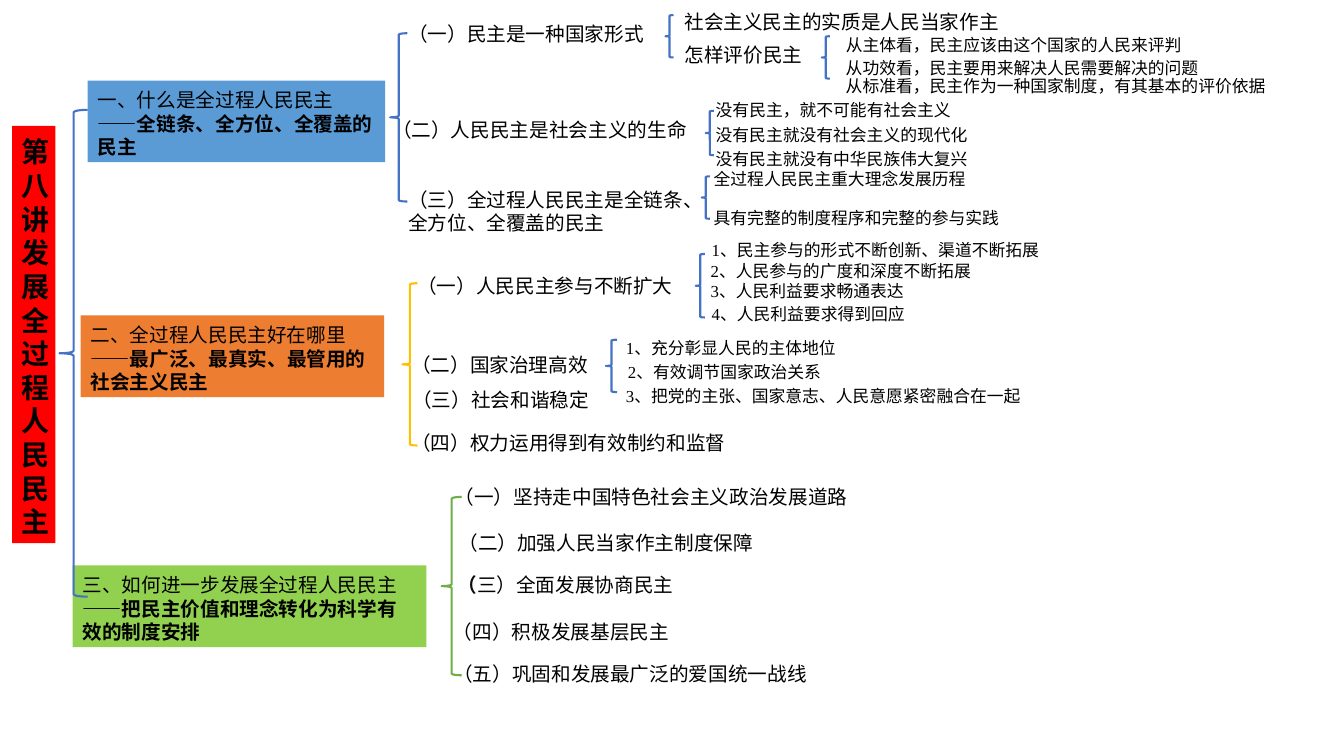
import pptx
import pptx.dml.color
import pptx.enum.shapes
import pptx.enum.text
import pptx.oxml.ns
import pptx.util
from lxml import etree

Inches = pptx.util.Inches
Color = pptx.dml.color.RGBColor

BLACK = Color(0x00, 0x00, 0x00)
NEAR_BLACK = Color(0x0D, 0x0D, 0x0D)
RED = Color(0xFF, 0x00, 0x00)
SKY = Color(0x5B, 0x9B, 0xD5)
ORANGE = Color(0xED, 0x7D, 0x31)
LIME = Color(0x92, 0xD0, 0x50)
BLUE = Color(0x44, 0x72, 0xC4)
GREEN = Color(0x70, 0xAD, 0x47)
YELLOW = Color(0xFF, 0xC0, 0x00)

SANS, SANS_JP = "Noto Sans CJK SC", "Noto Sans CJK JP"
LATIN, SERIF = "Arial", "Times New Roman"
LINE_FACTOR = 1.2
FIRST_INDENT = 0.29
LEFT = pptx.enum.text.PP_ALIGN.LEFT
CENTER = pptx.enum.text.PP_ALIGN.CENTER

# Chapter boxes: left, top, width, fill, heading, summary
CHAPTERS = [
    (0.87, 0.8, 2.95, SKY, "一、什么是全过程人民民主",
     "——全链条、全方位、全覆盖的民主"),
    (0.8, 3.13, 3.01, ORANGE, "二、全过程人民民主好在哪里",
     "——最广泛、最真实、最管用的社会主义民主"),
    (0.72, 5.61, 3.51, LIME, "三、如何进一步发展全过程人民民主",
     "——把民主价值和理念转化为科学有效的制度安排"),
]

# Braces: left, top, width, height, colour
BRACES = [
    (0.59, 1.09, 0.28, 4.83, BLUE),
    (3.87, 0.33, 0.17, 1.67, BLUE),
    (4.38, 4.93, 0.2, 1.77, GREEN),
    (3.99, 2.81, 0.15, 1.61, YELLOW),
    (8.15, 0.36, 0.08, 0.42, BLUE),
    (6.6, 0.15, 0.08, 0.42, BLUE),
    (7, 1.1, 0.08, 0.44, BLUE),
    (6.96, 1.75, 0.08, 0.42, BLUE),
    (6.9, 2.52, 0.09, 0.63, BLUE),
    (6.01, 3.37, 0.11, 0.52, BLUE),
]

# Labels: left, top, width, text, then alignment and first-line indent if any
SECTIONS = [
    (3.95, 0.15, 2.57, "（一）民主是一种国家形式"),
    (3.79, 1.1, 3.21, "（二）人民民主是社会主义的生命"),
    (3.95, 1.79, 3.1, "（三）全过程人民民主是全链条、全方位、全覆盖的民主"),
    (4.04, 2.65, 2.82, "（一）人民民主参与不断扩大"),
    (3.98, 3.43, 2.03, "（二）国家治理高效"),
    (3.99, 3.78, 2.33, "（三）社会和谐稳定"),
    (3.69, 4.21, 3.64, "（四）权力运用得到有效制约和监督", LEFT, FIRST_INDENT),
    (4.12, 4.74, 4.48, "（一）坚持走中国特色社会主义政治发展道路", LEFT, FIRST_INDENT),
    (4.38, 5.2, 3.26, "（二）加强人民当家作主制度保障", CENTER),
    (4.28, 6.08, 2.57, "（四）积极发展基层民主", CENTER),
    (4.38, 6.5, 3.74, "（五）巩固和发展最广泛的爱国统一战线", CENTER),
]
TOPICS = [
    (6.69, 0.03, 3.43, "社会主义民主的实质是人民当家作主"),
    (6.69, 0.36, 1.51, "怎样评价民主"),
]
DETAILS = [
    (8.29, 0.27, 3.92, "从主体看，民主应该由这个国家的人民来评判"),
    (8.29, 0.5, 4.03, "从功效看，民主要用来解决人民需要解决的问题"),
    (8.29, 0.68, 5.56, "从标准看，民主作为一种国家制度，有其基本的评价依据"),
    (7, 0.92, 2.59, "没有民主，就不可能有社会主义"),
    (7, 1.17, 2.93, "没有民主就没有社会主义的现代化"),
    (7, 1.41, 2.84, "没有民主就没有中华民族伟大复兴"),
    (6.69, 1.6, 3.13, "全过程人民民主重大理念发展历程", LEFT, FIRST_INDENT),
    (6.69, 1.99, 3.34, "具有完整的制度程序和完整的参与实践", LEFT, FIRST_INDENT),
    (6.96, 2.31, 3.6, "1、民主参与的形式不断创新、渠道不断拓展"),
    (6.95, 2.52, 2.93, "2、人民参与的广度和深度不断拓展"),
    (6.95, 2.72, 2.18, "3、人民利益要求畅通表达"),
    (6.96, 2.94, 2.25, "4、人民利益要求得到回应"),
    (6.11, 3.28, 5.56, "1、充分彰显人民的主体地位"),
    (6.13, 3.52, 2.16, "2、有效调节国家政治关系"),
    (6.11, 3.76, 4.22, "3、把党的主张、国家意志、人民意愿紧密融合在一起"),
]


def set_all(target, values):
    for name, value in values.items():
        setattr(target, name, value)


def add_span(para, text, size, font=LATIN, bold=False, color=BLACK):
    span = para.add_run()
    span.text = text
    set_all(span.font, {"size": pptx.util.Pt(size), "bold": bold, "name": font})
    span.font.color.rgb = color
    # East Asian typeface for the Chinese characters
    east = etree.SubElement(span.font._element, pptx.oxml.ns.qn("a:ea"))
    east.set("typeface", font if font == SANS_JP else SANS)


def fill_text(shape, paragraphs, size, anchor, align=LEFT, indent=0):
    """Each paragraph is a list of (text, format) pairs."""
    frame = shape.text_frame
    set_all(frame, {
        "word_wrap": True, "vertical_anchor": anchor,
        "margin_left": Inches(0.1), "margin_right": Inches(0.1),
        "margin_top": Inches(0.07), "margin_bottom": Inches(0.03),
    })
    for index, spans in enumerate(paragraphs):
        para = frame.add_paragraph() if index else frame.paragraphs[0]
        set_all(para, {"alignment": align,
                       "line_spacing": pptx.util.Pt(size * LINE_FACTOR)})
        if indent:
            para._p.get_or_add_pPr().set("indent", str(Inches(indent)))
        for text, style in spans:
            add_span(para, text, size, **style)


def add_block(page, left, top, width, height, fill, paragraphs, size):
    kind = pptx.enum.shapes.MSO_SHAPE.RECTANGLE
    block = page.shapes.add_shape(kind, *map(Inches, (left, top, width, height)))
    block.shadow.inherit = False
    block.fill.solid()
    block.fill.fore_color.rgb = fill
    block.line.fill.background()
    fill_text(block, paragraphs, size, pptx.enum.text.MSO_ANCHOR.MIDDLE)


def add_brace(page, left, top, width, height, color):
    kind = pptx.enum.shapes.MSO_SHAPE.LEFT_BRACE
    brace = page.shapes.add_shape(kind, *map(Inches, (left, top, width, height)))
    brace.shadow.inherit = False
    brace.fill.background()
    brace.line.color.rgb = color
    brace.line.width = pptx.util.Pt(1.5)


def add_label(page, left, top, width, spans, size, align=LEFT, indent=0):
    height = 0.34 if size == 14 else 0.3
    box = page.shapes.add_textbox(*map(Inches, (left, top, width, height)))
    fill_text(box, [spans], size, pptx.enum.text.MSO_ANCHOR.TOP, align, indent)


def main():
    deck = pptx.Presentation()
    set_all(deck, {"slide_width": Inches(13.33), "slide_height": Inches(7.5)})
    page = deck.slides.add_slide(deck.slide_layouts[6])

    # Lecture title, one character per line
    title = [("第八讲", {"font": SANS_JP, "bold": True}),
             ("发展全过程人民民主", {"font": SANS, "bold": True})]
    add_block(page, 0.12, 1.25, 0.43, 4.14, RED, [title], 20)

    # Chapters
    for left, top, width, fill, heading, summary in CHAPTERS:
        paragraphs = [[(heading, {})], [(summary, {"font": SANS, "bold": True})]]
        add_block(page, left, top, width, 0.81, fill, paragraphs, 14)

    # Braces joining the levels
    for brace in BRACES:
        add_brace(page, *brace)

    # Sections, topics and details
    for labels, font, size in ((SECTIONS, LATIN, 14), (TOPICS, SANS, 14),
                               (DETAILS, SERIF, 12)):
        for left, top, width, text, *layout in labels:
            add_label(page, left, top, width, [(text, {"font": font})], size, *layout)

    # Section with a bold opening bracket
    consultation = [("（", {"font": SANS, "bold": True, "color": NEAR_BLACK}),
                    ("三）全面发展协商民主", {})]
    add_label(page, 4.23, 5.61, 2.76, consultation, 14, CENTER)

    deck.save("out.pptx")


if __name__ == "__main__":
    main()
